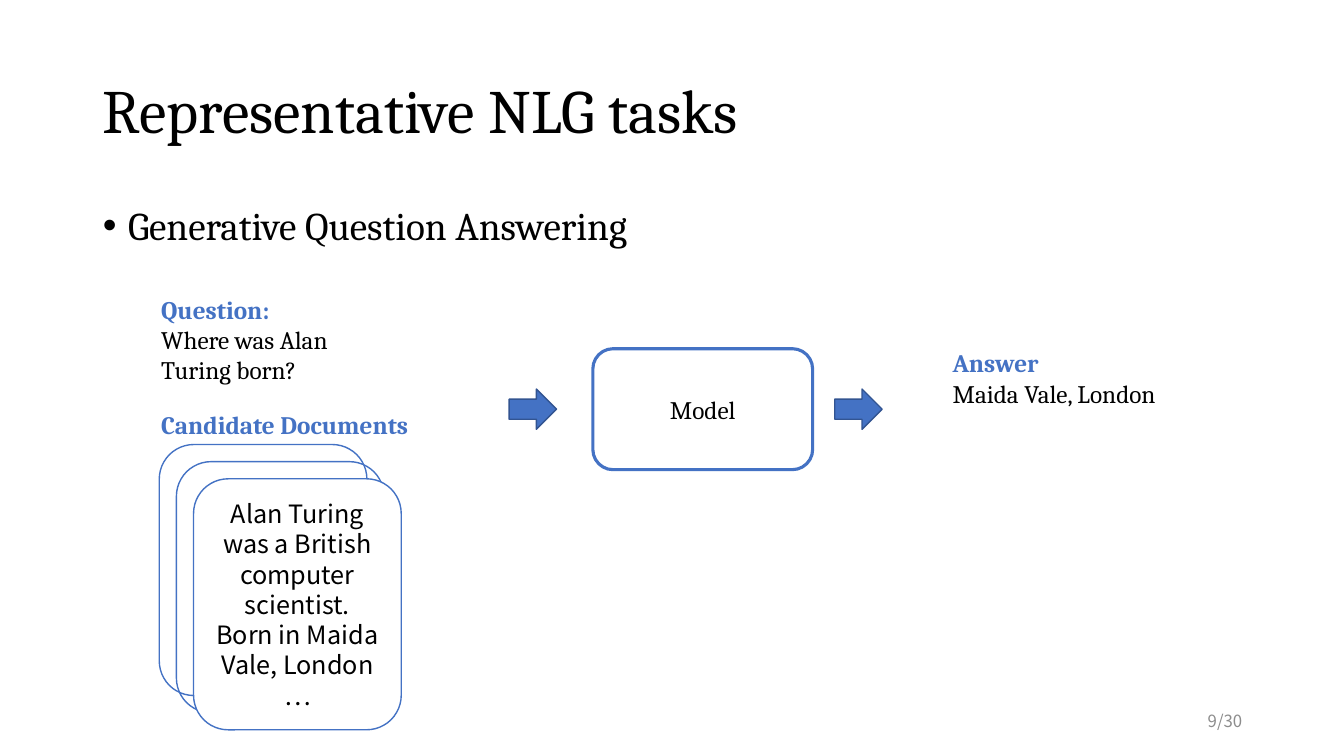
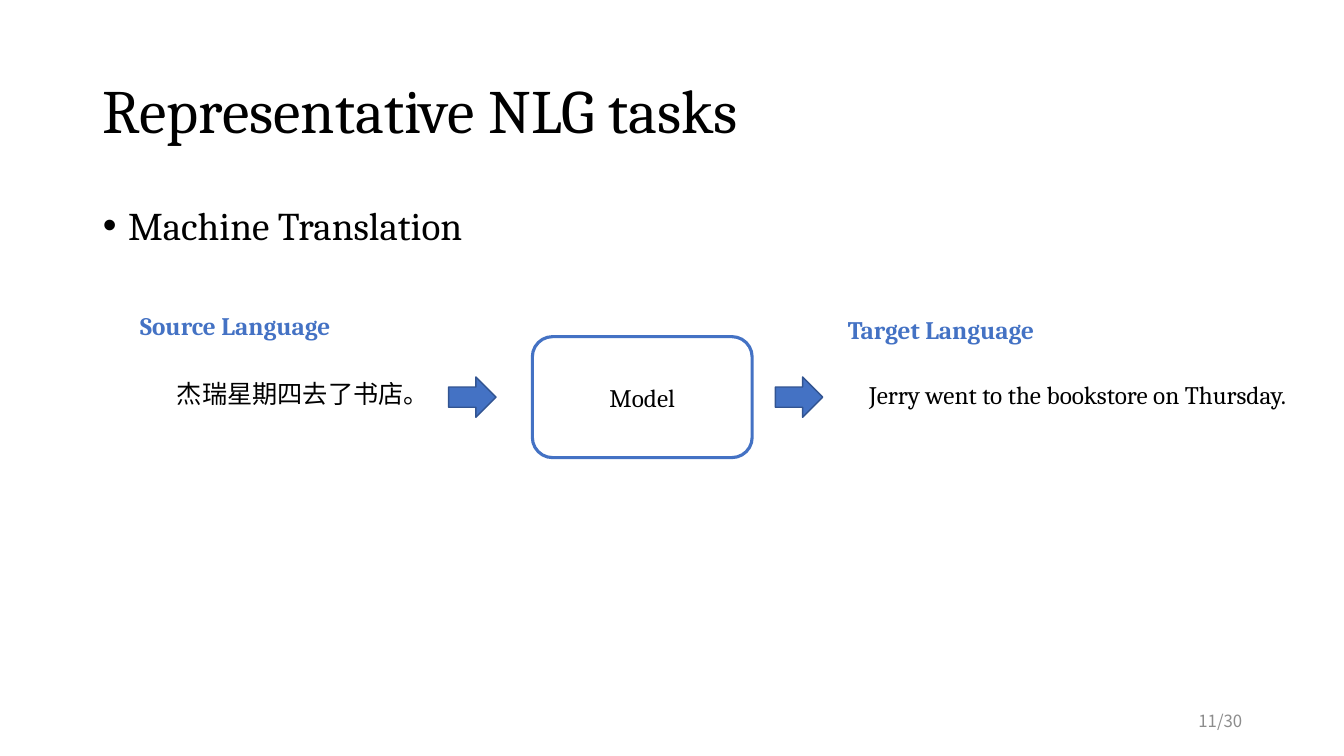
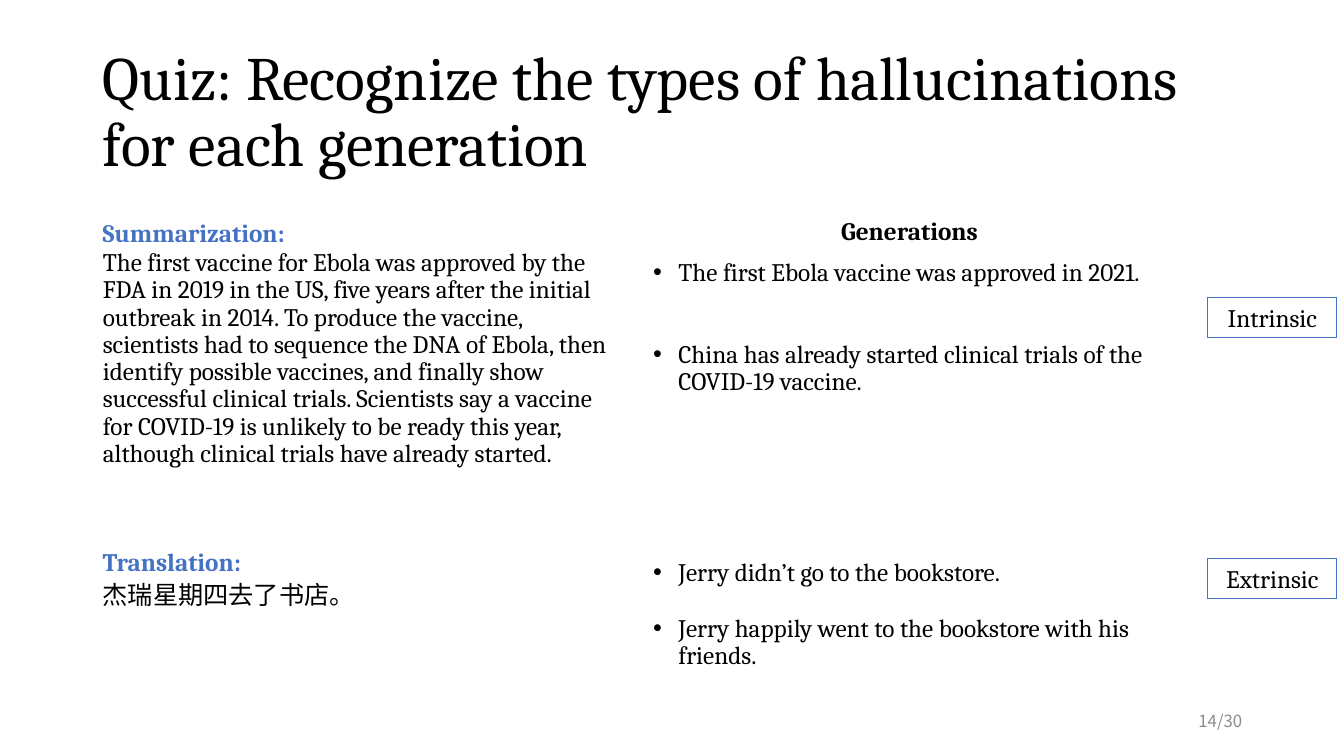
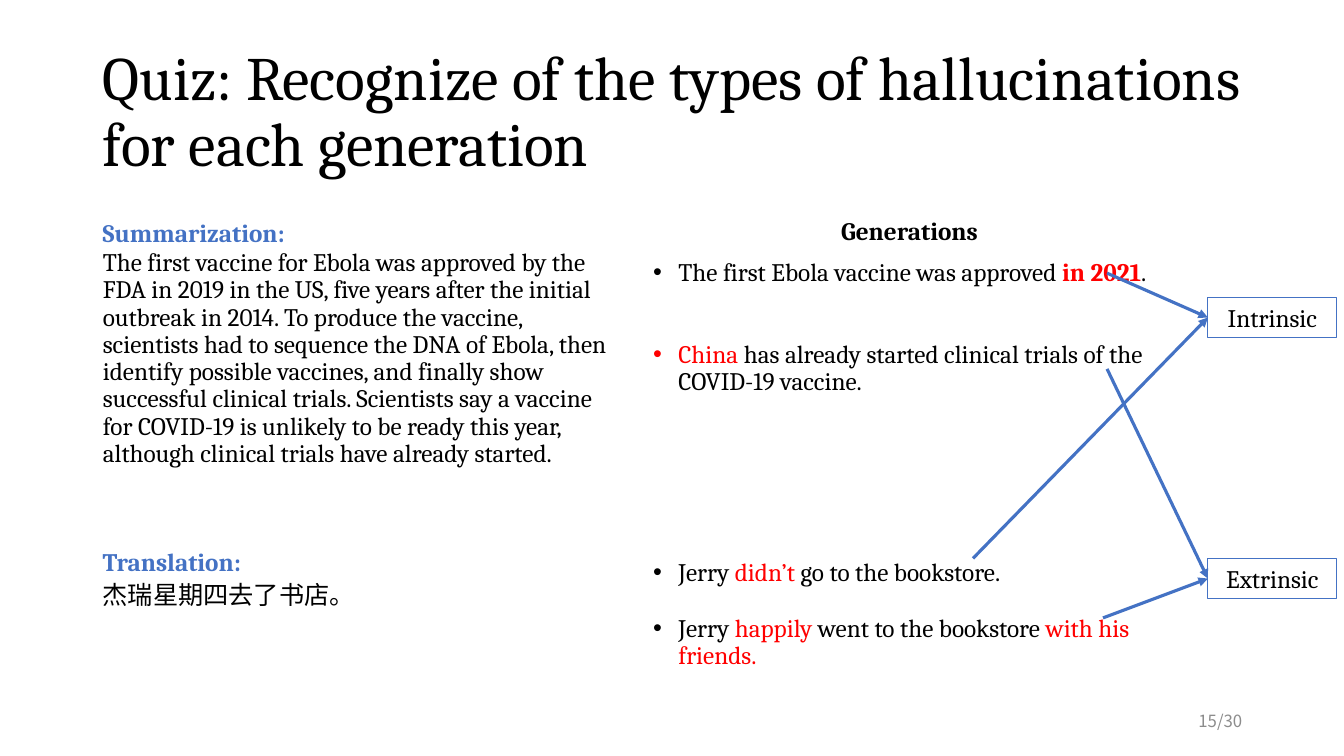
from dataclasses import dataclass
from lxml.etree import SubElement
from pptx import Presentation
from pptx.dml.color import RGBColor
from pptx.enum.shapes import MSO_CONNECTOR, MSO_SHAPE
from pptx.enum.text import MSO_ANCHOR, MSO_AUTO_SIZE, PP_ALIGN
from pptx.oxml.ns import qn
from pptx.util import Inches, Pt


@dataclass(frozen=True)
class Theme:
    serif: str = "Cambria"
    sans: str = "Noto Sans CJK SC"
    ink: str = "000000"
    accent: str = "4472C4"
    edge: str = "325491"
    muted: str = "8C8C8C"
    alert: str = "FF0000"
    paper: str = "FFFFFF"
    title_size: int = 44
    list_size: int = 28
    text_size: int = 18
    number_size: int = 12
    tight: float = 0.9
    hanging: float = 0.25


@dataclass(frozen=True)
class Box:
    left: float
    top: float
    width: float
    height: float

    def inner(self, left, top, width, height):
        return Box(self.left + left, self.top + top, width, height)

    def lengths(self):
        return [Inches(n) for n in (self.left, self.top, self.width, self.height)]


THEME = Theme()
PAGE = Box(0, 0, 13.33, 7.5)
TITLE = Box(0.92, 0.4, 11.5, 1.45)
CONTENT = Box(0.92, 2, 11.5, 4.76)
NUMBER = Box(9.42, 6.95, 3, 0.4)
HEADING = {"color": THEME.accent, "bold": True}
RED = {"color": THEME.alert}
PAGE_TOTAL = 30
CHINESE = "杰瑞星期四去了书店。"
ARTICLE = (
    "The first vaccine for Ebola was approved by the FDA in 2019 in the US, "
    "five years after the initial outbreak in 2014. To produce the vaccine, "
    "scientists had to sequence the DNA of Ebola, then identify possible vaccines, "
    "and finally show successful clinical trials. Scientists say a vaccine for "
    "COVID-19 is unlikely to be ready this year, although clinical trials have "
    "already started."
)


def set_bullet(para, bullet):
    properties = para._p.get_or_add_pPr()
    indent = Inches(THEME.hanging) if bullet else 0
    properties.set("marL", str(indent))
    properties.set("indent", str(-indent))
    if bullet:
        SubElement(properties, qn("a:buFont")).set("typeface", "Arial")
        SubElement(properties, qn("a:buChar")).set("char", "•")
    else:
        SubElement(properties, qn("a:buNone"))


def write(frame, text, *, size=THEME.text_size, font=THEME.serif, color=THEME.ink,
          bold=False, align=PP_ALIGN.LEFT, spacing=1.0, before=0, bullet=False):
    first = not frame.paragraphs[0].runs
    para = frame.paragraphs[0] if first else frame.add_paragraph()
    set_bullet(para, bullet)
    para.alignment = align
    para.line_spacing = spacing
    para.space_before = Pt(0 if first else before)
    spans = [(text, {})] if isinstance(text, str) else text
    for words, style in spans:
        span = para.add_run()
        span.text = words
        span.font.name = font
        span.font.size = Pt(size)
        span.font.bold = style.get("bold", bold)
        span.font.color.rgb = RGBColor.from_string(style.get("color", color))


def prepare(frame, anchor=MSO_ANCHOR.TOP):
    frame.word_wrap = True
    frame.auto_size = MSO_AUTO_SIZE.NONE
    frame.vertical_anchor = anchor
    return frame


def add_text(page, box, *lines, anchor=MSO_ANCHOR.TOP, **style):
    frame = prepare(page.shapes.add_textbox(*box.lengths()).text_frame, anchor)
    for line in lines:
        write(frame, line, **style)
    return frame


def add_shape(page, kind, box, *, fill=None, line=THEME.accent, weight=1, text=None, font=THEME.serif):
    shape = page.shapes.add_shape(kind, *box.lengths())
    shape.shadow.inherit = False
    if fill:
        shape.fill.solid()
        shape.fill.fore_color.rgb = RGBColor.from_string(fill)
    else:
        shape.fill.background()
    shape.line.color.rgb = RGBColor.from_string(line)
    shape.line.width = Pt(weight)
    if text:
        write(prepare(shape.text_frame, MSO_ANCHOR.MIDDLE), text, font=font, align=PP_ALIGN.CENTER)
    return shape


def add_arrow(page, start, target):
    arrow = page.shapes.add_connector(
        MSO_CONNECTOR.STRAIGHT, Inches(start[0]), Inches(start[1]), target.left, target.top)
    arrow.end_connect(target, 1)
    arrow.line.color.rgb = RGBColor.from_string(THEME.accent)
    arrow.line.width = Pt(2.25)
    properties = arrow._element.spPr
    SubElement(properties.get_or_add_ln(), qn("a:tailEnd")).set("type", "triangle")
    SubElement(properties, qn("a:effectLst"))


def fill_placeholder(placeholder, box, text, anchor=MSO_ANCHOR.TOP, **style):
    placeholder.left, placeholder.top, placeholder.width, placeholder.height = box.lengths()
    write(prepare(placeholder.text_frame, anchor), text, spacing=THEME.tight, **style)


def add_page(deck, title, number):
    page = deck.slides.add_slide(deck.slide_layouts[1])
    fill_placeholder(page.shapes.title, TITLE, title, MSO_ANCHOR.MIDDLE, size=THEME.title_size)
    add_text(page, NUMBER, f"{number}/{PAGE_TOTAL}", anchor=MSO_ANCHOR.MIDDLE, size=THEME.number_size,
             font=THEME.sans, color=THEME.muted, align=PP_ALIGN.RIGHT)
    return page


def add_task_page(deck, task, number):
    page = add_page(deck, "Representative NLG tasks", number)
    fill_placeholder(page.placeholders[1], CONTENT, task, size=THEME.list_size, bullet=True)
    return page


def add_model(page, box):
    add_shape(page, MSO_SHAPE.ROUNDED_RECTANGLE, box.inner(0.83, 0, 2.18, box.height), weight=2.25, text="Model")
    width, height = 0.47, 0.4
    for left in (0, box.width - width):
        add_shape(page, MSO_SHAPE.RIGHT_ARROW, box.inner(left, (box.height - height) / 2, width, height),
                  fill=THEME.accent, line=THEME.edge)


def add_labelled(page, box, heading, text):
    frame = add_text(page, box, heading, **HEADING)
    write(frame, text)


def add_documents(page, box, text):
    add_text(page, box.inner(0, 0, box.width, 0.4), "Candidate Documents", **HEADING)
    step = 0.17
    sheets = [box.inner(0.08 + step * n, 0.4 + step * n, 2.06, 2.49) for n in range(3)]
    for sheet in sheets[:-1]:
        add_shape(page, MSO_SHAPE.ROUNDED_RECTANGLE, sheet)
    add_shape(page, MSO_SHAPE.ROUNDED_RECTANGLE, sheets[-1], fill=THEME.paper, text=text, font=THEME.sans)


def add_question_answering(deck):
    page = add_task_page(deck, "Generative Question Answering", 9)
    add_model(page, Box(5.05, 3.46, 3.7, 1.2))
    add_labelled(page, Box(1.5, 2.87, 2.22, 1.01), "Question:", "Where was Alan Turing born?")
    add_labelled(page, Box(9.35, 3.4, 2.22, 1.01), "Answer", "Maida Vale, London")
    add_documents(page, Box(1.5, 4.01, 3.1, 3.23),
                  "Alan Turing was a British computer scientist. Born in Maida Vale, London …")


def add_translation(deck):
    page = add_task_page(deck, "Machine Translation", 11)
    add_model(page, Box(4.45, 3.34, 3.71, 1.2))
    sentences = [
        ("Source Language", Box(1.29, 3.03, 2.22, 0.4), CHINESE, Box(1.09, 3.74, 3.83, 0.41)),
        ("Target Language", Box(8.31, 3.07, 2.22, 0.4),
         "Jerry went to the bookstore on Thursday.", Box(8.05, 3.75, 5.28, 0.4)),
    ]
    for heading, heading_box, sentence, sentence_box in sentences:
        add_text(page, heading_box, heading, **HEADING)
        add_text(page, sentence_box, sentence, align=PP_ALIGN.CENTER, spacing=THEME.tight)


def add_sources(page, box):
    for heading, top in (("Summarization:", 0), ("Translation:", 3.26)):
        add_text(page, box.inner(0, top, 2.36, 0.4), heading, **HEADING)
    fill_placeholder(page.placeholders[1], box.inner(0, 0.32, box.width, 2.29), ARTICLE)
    add_text(page, box.inner(0, 3.62, box.width, 0.4), CHINESE, spacing=THEME.tight)


def add_generations(page, box, summaries, translations):
    add_text(page, box.inner(1.52, 0, 2.24, 0.4), "Generations", bold=True, align=PP_ALIGN.CENTER)
    add_text(page, box.inner(0, 0.44, box.width, 2.08), *summaries,
             spacing=THEME.tight, before=39, bullet=True)
    for top, sentence in zip((3.41, 3.97), translations):
        add_text(page, box.inner(0, top, box.width, 0.4), sentence, spacing=THEME.tight, bullet=True)


def add_types(page, box):
    height = 0.4
    return [
        add_shape(page, MSO_SHAPE.RECTANGLE, box.inner(0, top, box.width, height), weight=0.75, text=name)
        for name, top in (("Intrinsic", 0), ("Extrinsic", box.height - height))
    ]


def add_quiz(deck, title, number, summaries, translations, intrinsic=(), extrinsic=()):
    page = add_page(deck, title, number)
    add_sources(page, Box(0.92, 2.11, 5.28, 4.02))
    add_generations(page, Box(6.38, 2.09, 5.28, 4.37), summaries, translations)
    targets = add_types(page, Box(11.98, 2.95, 1.28, 2.99))
    for target, starts in zip(targets, (intrinsic, extrinsic)):
        for start in starts:
            add_arrow(page, start, target)


def main():
    deck = Presentation()
    deck.slide_width, deck.slide_height = Inches(PAGE.width), Inches(PAGE.height)
    add_question_answering(deck)
    add_translation(deck)
    summaries = [
        [("The first Ebola vaccine was approved ", {}), ("in 2021", {**RED, "bold": True}), (".", {})],
        [("China", RED), (" has already started clinical trials of the COVID-19 vaccine.", {})],
    ]
    translations = [
        [("Jerry ", {}), ("didn’t", RED), (" go to the bookstore.", {})],
        [("Jerry ", {}), ("happily", RED), (" went to the bookstore ", {}), ("with his friends.", RED)],
    ]
    plain_summaries, plain_translations = (
        ["".join(words for words, style in line) for line in lines] for lines in (summaries, translations))
    add_quiz(deck, "Quiz: Recognize the types of hallucinations for each generation", 14,
             plain_summaries, plain_translations)
    add_quiz(deck, "Quiz: Recognize of the types of hallucinations for each generation", 15,
             summaries, translations,
             intrinsic=[(10.98, 2.71), (9.65, 5.54)], extrinsic=[(10.98, 3.66), (10.94, 6.13)])
    deck.save("out.pptx")


if __name__ == "__main__":
    main()
